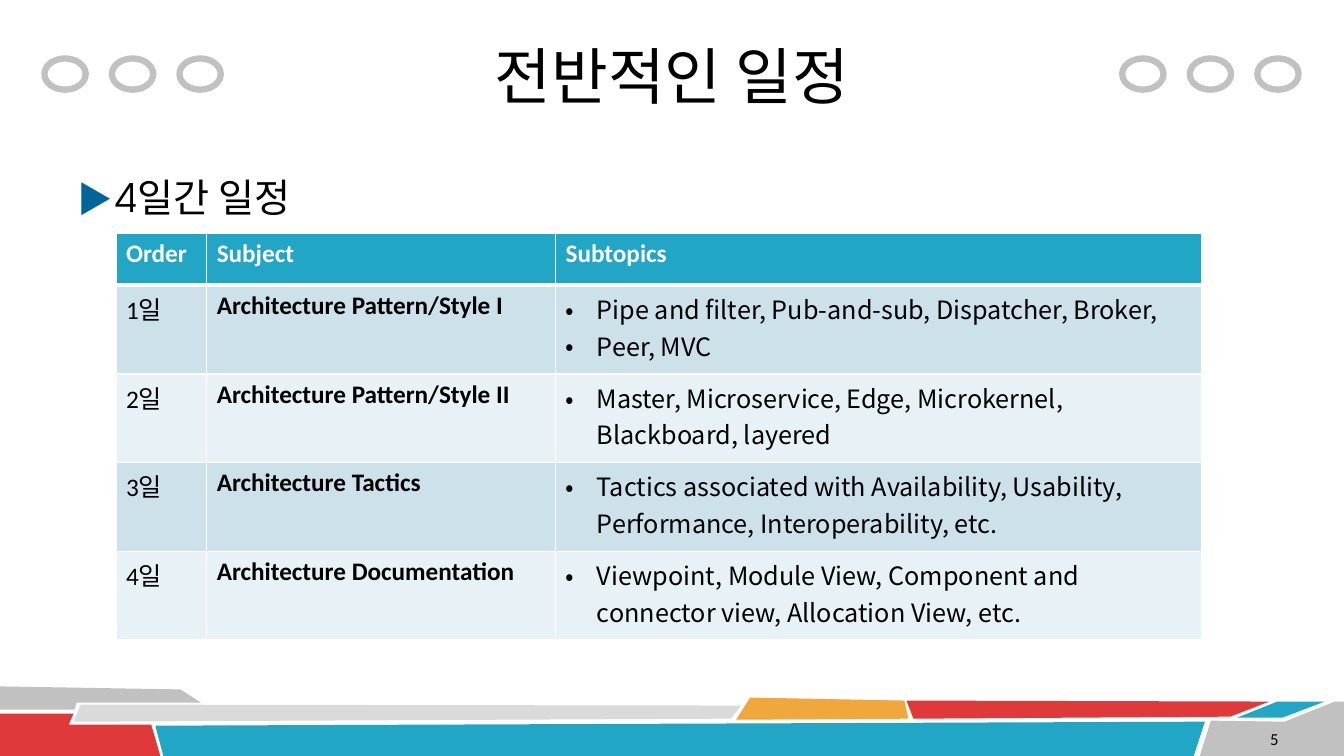
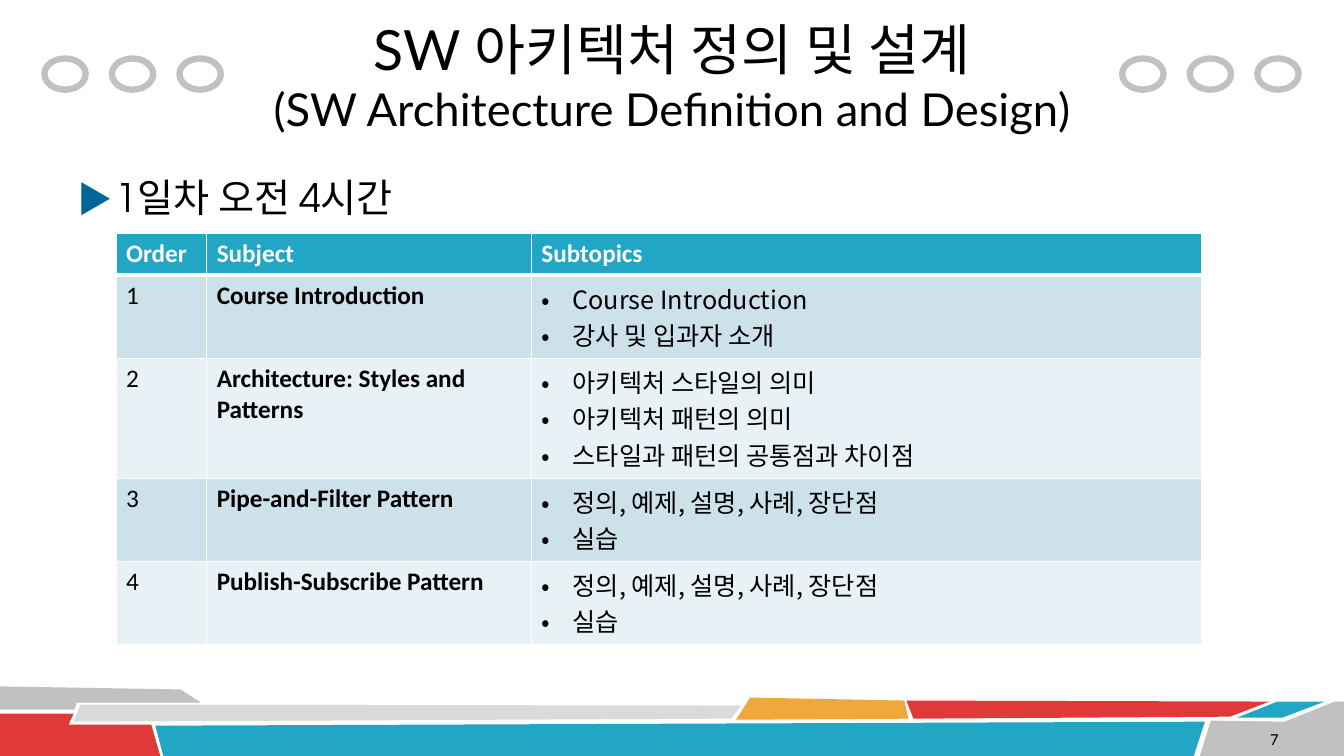
import lxml.etree
import pptx
import pptx.dml.color
import pptx.enum.shapes
import pptx.enum.text
import pptx.oxml.ns
import pptx.util

RGB = pptx.dml.color.RGBColor
ALIGN = pptx.enum.text.PP_ALIGN
ANCHOR = pptx.enum.text.MSO_ANCHOR
FIT = pptx.enum.text.MSO_AUTO_SIZE
OVAL = pptx.enum.shapes.MSO_SHAPE.OVAL
Pt = pptx.util.Pt
qn = pptx.oxml.ns.qn

# Colours
BLACK = RGB(0x00, 0x00, 0x00)
WHITE = RGB(0xFF, 0xFF, 0xFF)
GREY = RGB(0xC1, 0xC1, 0xC1)
PALE = RGB(0xDA, 0xDA, 0xDA)
RED = RGB(0xDF, 0x39, 0x39)
TEAL = RGB(0x21, 0xA6, 0xC5)
GOLD = RGB(0xF0, 0xA7, 0x3C)
BLUE = RGB(0x00, 0x66, 0x99)
DARK = RGB(0xCD, 0xE1, 0xEA)
LIGHT = RGB(0xE8, 0xF1, 0xF5)

# Text formats
HANGUL = "Noto Sans CJK KR"
TITLE = {"name": "Lato", "size": Pt(44)}
LIST = {"name": "TeX Gyre Adventor", "size": Pt(28)}
PAGE = {"name": "Calibri", "size": Pt(12)}
CELL = {"name": "Calibri", "size": Pt(18), "bold": False}
BOLD = {**CELL, "bold": True}
TOPIC = {**CELL, "name": HANGUL}

# Footer bands: colour and corners in px
BANDS = [
    (GREY, [(0, 681), (179, 684), (199, 697), (76, 697), (74, 704), (0, 704)]),
    (RED, [(0, 708), (73, 708), (68, 719), (150, 719), (159, 750), (0, 750)]),
    (PALE, [(80, 699), (735, 700), (725, 713), (73, 716)]),
    (TEAL, [(154, 720), (1195, 716), (1184, 750), (162, 750)]),
    (GOLD, [(744, 692), (897, 695), (901, 713), (730, 714)]),
    (RED, [(899, 695), (1259, 696), (1220, 711), (906, 713)]),
    (TEAL, [(1267, 696), (1314, 696), (1272, 712), (1227, 712)]),
    (GREY, [(1201, 715), (1274, 716), (1324, 696), (1333, 696),
            (1333, 750), (1190, 750)]),
]


def px(*vals):
    """Turn px (hundredths of an inch) into EMU."""
    return [pptx.util.Emu(val * Deck.SCALE) for val in vals]


def apply(item, form):
    for key, val in form.items():
        setattr(item, key, val)


class Deck:
    SCALE = 9144

    def __init__(self):
        self.prs = pptx.Presentation()
        self.prs.slide_width, self.prs.slide_height = px(1333, 750)
        self.layout = self.prs.slide_layouts[1]
        self.slide = None
        for holder in list(self.layout.placeholders)[2:]:
            holder.element.getparent().remove(holder.element)

    def start(self):
        first = self.slide is None
        self.slide = self.prs.slides.add_slide(self.layout)
        if first:
            self.decor()

    def decor(self):
        """Draw the bands and rings once, then move them to the layout."""
        parts = [self.band(*band) for band in BANDS]
        parts += [self.ring(left + 67 * i) for left in (44, 1113) for i in range(3)]
        for part in parts:
            self.layout.shapes.element.append(part.element)

    def band(self, color, points):
        form = self.slide.shapes.build_freeform(*points[0], scale=self.SCALE)
        form.add_line_segments(points[1:], close=True)
        shape = form.convert_to_shape()
        shape.shadow.inherit = False
        shape.fill.solid()
        shape.fill.fore_color.rgb = color
        shape.line.fill.background()
        return shape

    def ring(self, left):
        shape = self.slide.shapes.add_shape(OVAL, *px(left, 58, 41, 31))
        shape.shadow.inherit = False
        shape.fill.background()
        shape.line.color.rgb = GREY
        shape.line.width = Pt(4.5)
        return shape

    def put(self, para, text, form, color=BLACK):
        run = para.add_run()
        run.text = text
        apply(run.font, form)
        run.font.color.rgb = color
        east = lxml.etree.SubElement(run._r.get_or_add_rPr(), qn("a:ea"))
        east.set("typeface", HANGUL)

    def bullet(self, para, char, indent, color=None, size=100):
        props = para._p.get_or_add_pPr()
        left, = px(indent)
        props.set("marL", str(left))
        props.set("indent", str(-left))
        if color is not None:
            tint = lxml.etree.SubElement(props, qn("a:buClr"))
            lxml.etree.SubElement(tint, qn("a:srgbClr"), val=str(color))
        lxml.etree.SubElement(props, qn("a:buSzPct"), val=str(size * 1000))
        lxml.etree.SubElement(props, qn("a:buFont"), typeface=HANGUL)
        lxml.etree.SubElement(props, qn("a:buChar"), char=char)

    def place(self, shape, box, form):
        apply(shape, dict(zip(("left", "top", "width", "height"), px(*box))))
        apply(shape.text_frame, {"word_wrap": True, "auto_size": FIT.NONE, **form})
        return shape.text_frame.paragraphs[0]

    def title(self, *lines):
        """Each line is a text and its size in points."""
        para = self.place(self.slide.shapes.title, (233, 12, 867, 125),
                          {"vertical_anchor": ANCHOR.MIDDLE})
        para.alignment = ALIGN.CENTER
        for i, (text, size) in enumerate(lines):
            if i:
                para.add_line_break()
            self.put(para, text, {**TITLE, "size": Pt(size)})

    def body(self, text):
        para = self.place(self.slide.placeholders[1], (67, 167, 1200, 503),
                          {"vertical_anchor": ANCHOR.TOP})
        apply(para, {"space_before": Pt(5.6), "space_after": Pt(6)})
        self.bullet(para, "▶", 38, BLUE, 90)
        self.put(para, text, LIST)

    def page(self, num):
        box = self.slide.shapes.add_textbox(0, 0, 0, 0)
        para = self.place(box, (1211, 720, 67, 25),
                          {"vertical_anchor": ANCHOR.MIDDLE})
        para.alignment = ALIGN.RIGHT
        self.put(para, str(num), PAGE)

    def edge(self, cell, row):
        """White cell borders, thick below the header."""
        props = cell._tc.get_or_add_tcPr()
        thick = {"T": row == 1, "B": row == 0}
        for i, side in enumerate("LRTB"):
            width = Pt(3 if thick.get(side) else 1)
            line = lxml.etree.Element(qn("a:ln" + side), w=str(width))
            fill = lxml.etree.SubElement(line, qn("a:solidFill"))
            lxml.etree.SubElement(fill, qn("a:srgbClr"), val=str(WHITE))
            props.insert(i, line)

    def cell(self, cell, row, col, text):
        cell.fill.solid()
        cell.fill.fore_color.rgb = (LIGHT, DARK)[row % 2] if row else TEAL
        self.edge(cell, row)
        frame = cell.text_frame
        if row and col == 2:
            for i, topic in enumerate(text):
                para = frame.add_paragraph() if i else frame.paragraphs[0]
                self.bullet(para, "•", 31)
                self.put(para, topic, TOPIC)
        else:
            self.put(frame.paragraphs[0], text,
                     CELL if row and col == 0 else BOLD,
                     BLACK if row else WHITE)

    def table(self, cols, highs, rows):
        rows = [("Order", "Subject", "Subtopics"), *rows]
        grid = self.slide.shapes.add_table(
            len(rows), len(cols), *px(115, 232, sum(cols), sum(highs))).table
        for col, width in zip(grid.columns, px(*cols)):
            col.width = width
        for row, high in zip(grid.rows, px(*highs)):
            row.height = high
        for r, row in enumerate(rows):
            for c, text in enumerate(row):
                self.cell(grid.cell(r, c), r, c, text)


def main():
    deck = Deck()

    # Overall schedule
    deck.start()
    deck.title(("전반적인 일정", 44))
    deck.body("4일간 일정")
    deck.page(5)
    deck.table([90, 346, 641], [51] + [88] * 4, [
        ("1일", "Architecture Pattern/Style I",
         ["Pipe and filter, Pub-and-sub, Dispatcher, Broker,", "Peer, MVC"]),
        ("2일", "Architecture Pattern/Style II",
         ["Master, Microservice, Edge, Microkernel, Blackboard, layered"]),
        ("3일", "Architecture Tactics",
         ["Tactics associated with Availability, Usability, "
          "Performance, Interoperability, etc."]),
        ("4일", "Architecture Documentation",
         ["Viewpoint, Module View, Component and connector view, "
          "Allocation View, etc."]),
    ])

    # First morning
    deck.start()
    deck.title(("SW 아키텍처 정의 및 설계", 39.6),
               ("(SW Architecture Definition and Design)", 32.4))
    deck.body("1일차 오전 4시간")
    deck.page(7)
    drill = ["정의, 예제, 설명, 사례, 장단점", "실습"]
    deck.table([90, 322, 665], [41, 82, 119, 82, 82], [
        ("1", "Course Introduction",
         ["Course Introduction", "강사 및 입과자 소개"]),
        ("2", "Architecture: Styles and Patterns",
         ["아키텍처 스타일의 의미", "아키텍처 패턴의 의미",
          "스타일과 패턴의 공통점과 차이점"]),
        ("3", "Pipe-and-Filter Pattern", drill),
        ("4", "Publish-Subscribe Pattern", drill),
    ])

    deck.prs.save("out.pptx")


if __name__ == "__main__":
    main()
